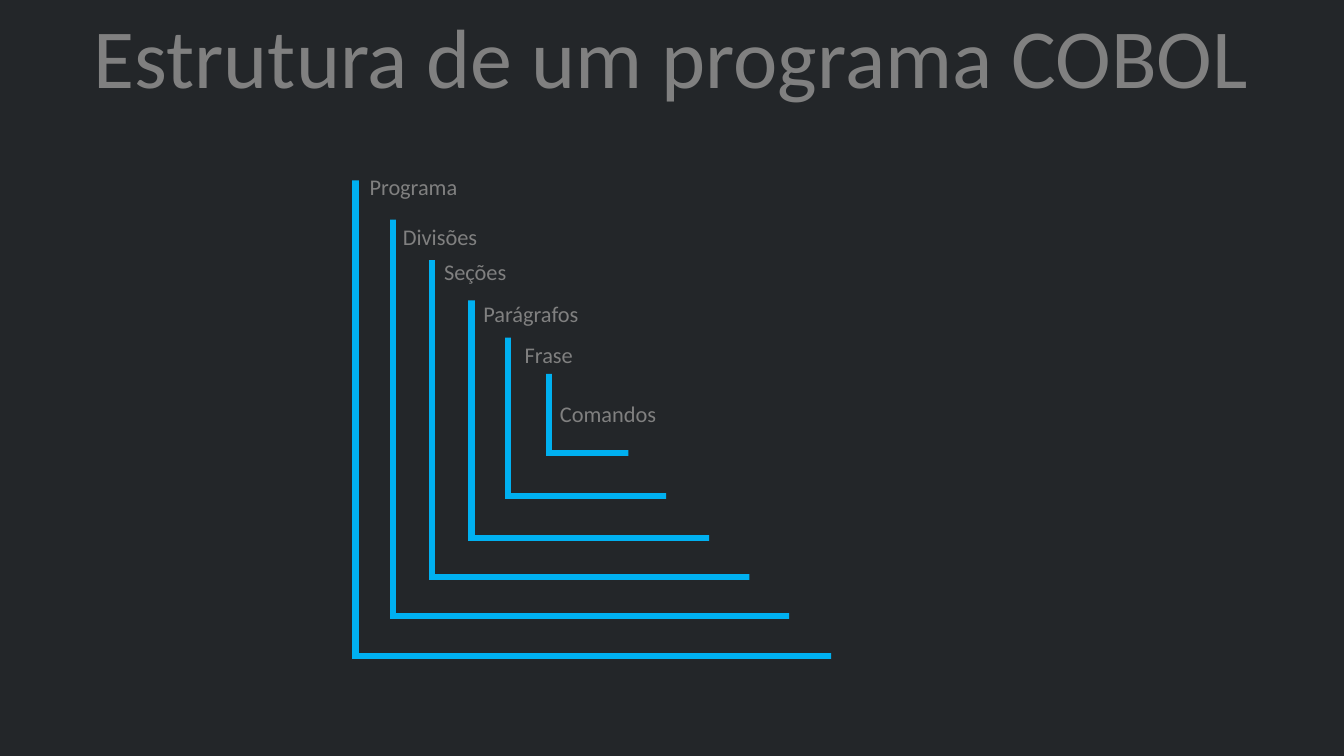
from dataclasses import dataclass

from lxml import etree
from pptx import Presentation
from pptx.dml.color import RGBColor
from pptx.enum.shapes import MSO_SHAPE
from pptx.enum.text import MSO_AUTO_SIZE, PP_ALIGN
from pptx.oxml.ns import qn
from pptx.slide import Slide
from pptx.util import Inches, Pt

HALF = MSO_SHAPE.HALF_FRAME
GROW = MSO_AUTO_SIZE.SHAPE_TO_FIT_TEXT
LEFT = PP_ALIGN.LEFT
CENTER = PP_ALIGN.CENTER

DARK = RGBColor(0x23, 0x26, 0x29)
GRAY = RGBColor(0x80, 0x80, 0x80)
BLUE = RGBColor(0x00, 0xB0, 0xF0)
TEAL = RGBColor(0x1A, 0x9C, 0x8D)
FONT = "Calibri"
OUTER = 4.72


@dataclass
class Level:
    name: str
    left: float
    top: float
    text_left: float
    text_top: float
    width: float


LEVELS = [
    Level("Programa", 3.53, 1.79, 3.57, 1.67, 1.97),
    Level("Divisões", 3.9, 2.18, 3.9, 2.16, 0.97),
    Level("Seções", 4.29, 2.58, 4.31, 2.51, 0.85),
    Level("Parágrafos", 4.68, 2.98, 4.7, 2.93, 1.18),
    Level("Frase", 5.04, 3.35, 5.11, 3.34, 0.72),
    Level("Comandos", 5.45, 3.71, 5.46, 3.92, 1.19),
]


def add_text(slide: Slide, text: str, left: float, top: float, width: float,
             *, height: float = 0.37, size: int = 16,
             align: PP_ALIGN = LEFT) -> None:
    box = slide.shapes.add_textbox(
        Inches(left), Inches(top), Inches(width), Inches(height))
    frame = box.text_frame
    frame.word_wrap = True
    frame.auto_size = GROW
    para = frame.paragraphs[0]
    para.alignment = align
    run = para.add_run()
    run.text = text
    run.font.name = FONT
    run.font.size = Pt(size)
    run.font.color.rgb = GRAY


def add_frame(slide: Slide, left: float, top: float, side: float) -> None:
    shape = slide.shapes.add_shape(
        HALF, Inches(left), Inches(top), Inches(side), Inches(side))
    shape.adjustments[0] = 0
    shape.adjustments[1] = 0
    shape.rotation = 270
    shape.shadow.inherit = False
    shape.fill.solid()
    shape.fill.fore_color.rgb = TEAL
    shape.line.color.rgb = BLUE
    shape.line.width = Pt(4.5)
    line = shape._element.spPr.find(qn("a:ln"))
    etree.SubElement(line, qn("a:miter"), lim="800000")


def main() -> None:
    deck = Presentation()
    deck.slide_width = Inches(13.34)
    deck.slide_height = Inches(7.5)
    slide = deck.slides.add_slide(deck.slide_layouts[6])
    slide.background.fill.solid()
    slide.background.fill.fore_color.rgb = DARK

    count = len(LEVELS)
    for depth, level in enumerate(LEVELS):
        add_frame(slide, level.left, level.top, OUTER * (count - depth) / count)
        add_text(slide, level.name, level.text_left, level.text_top, level.width)

    add_text(slide, "Estrutura de um programa COBOL", -0.02, 0, 13.36,
             height=1.1, size=60, align=CENTER)
    deck.save("out.pptx")


if __name__ == "__main__":
    main()
